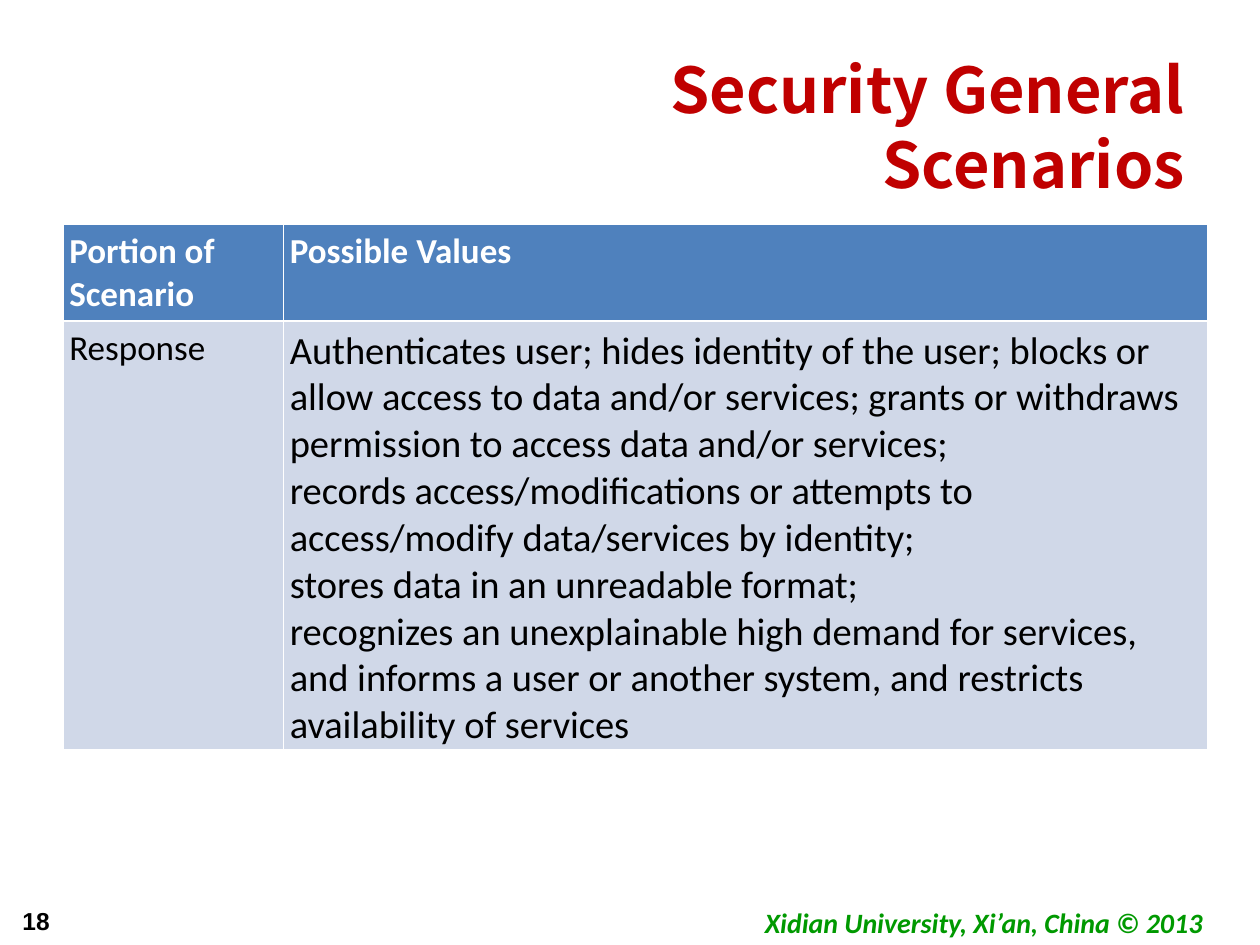
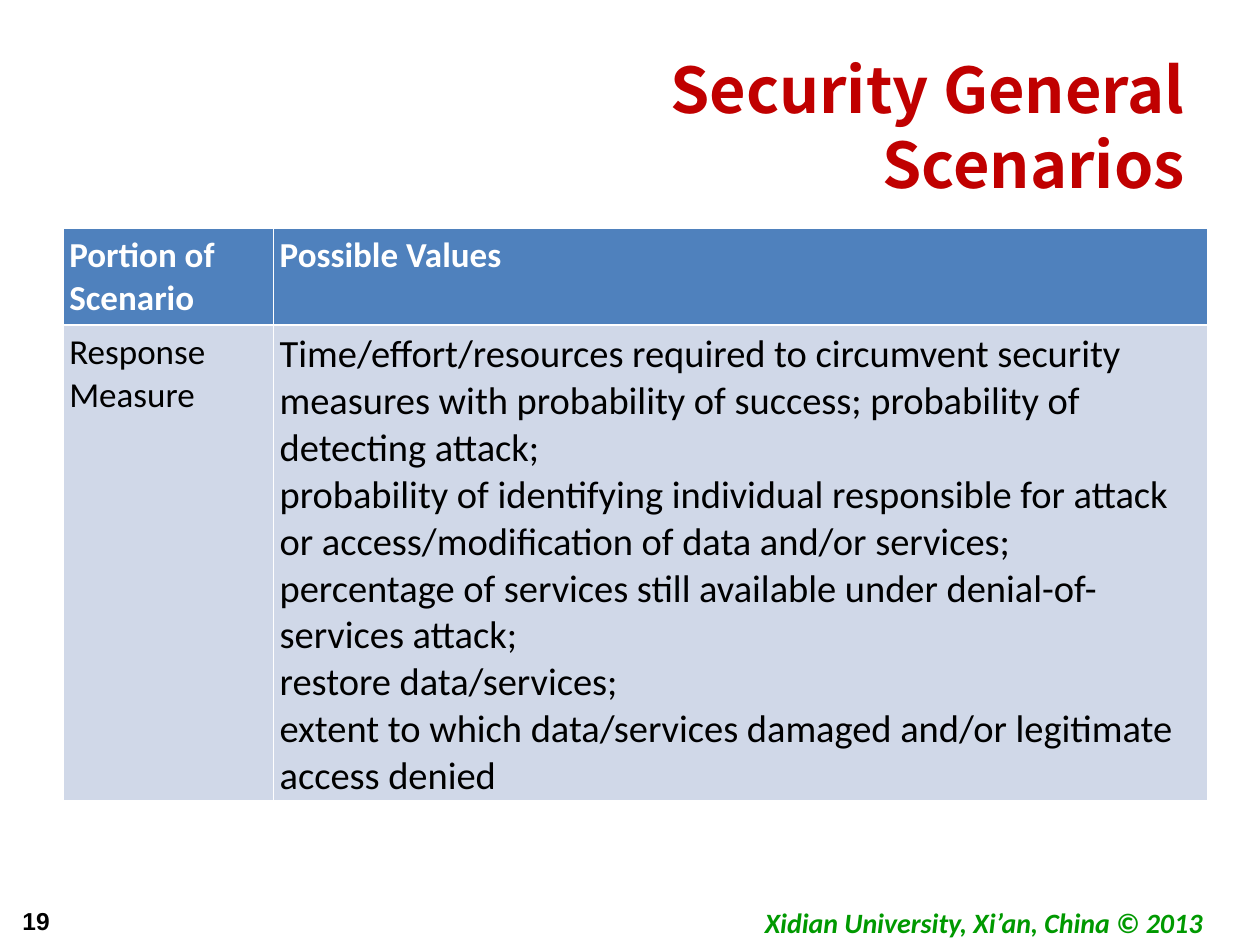
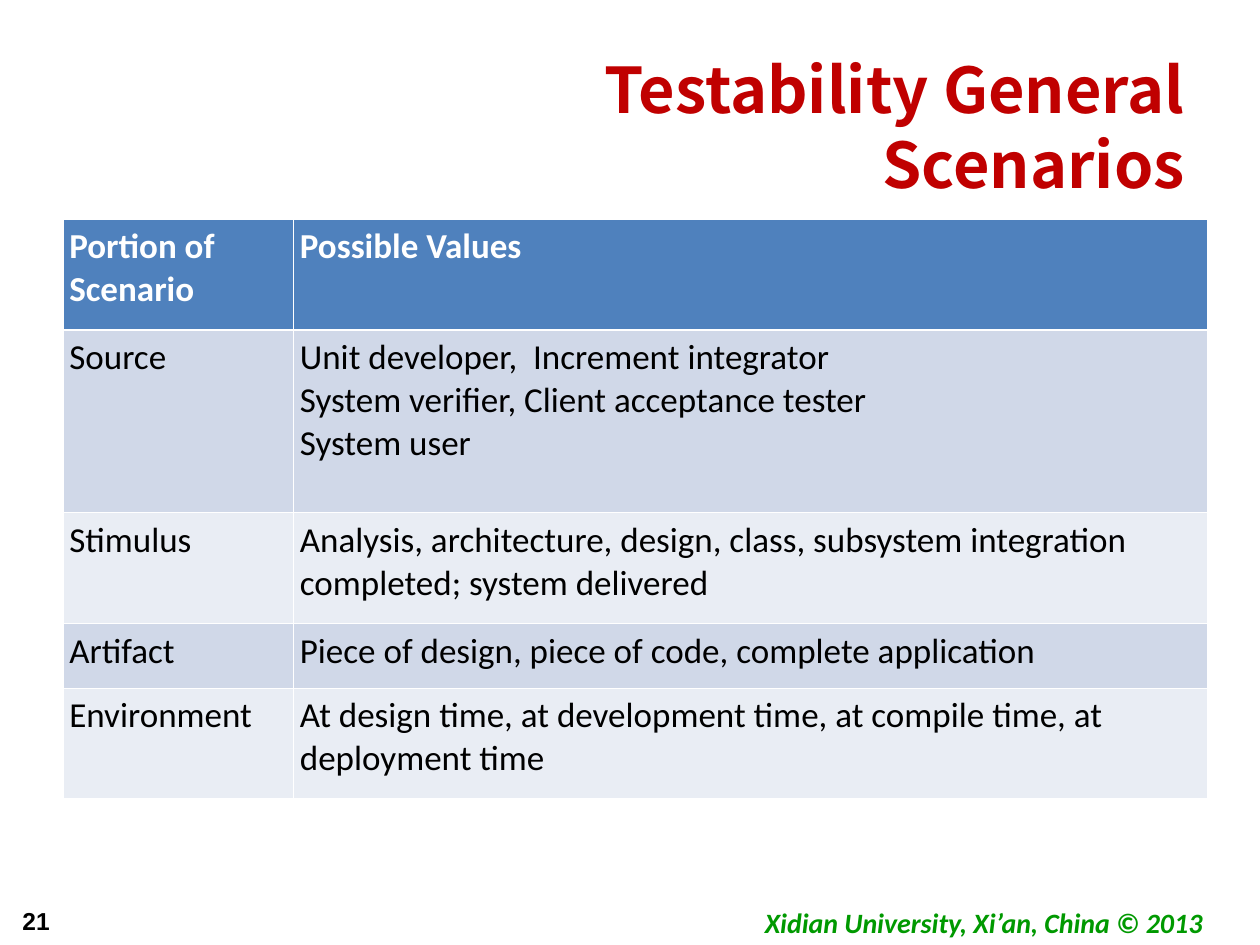
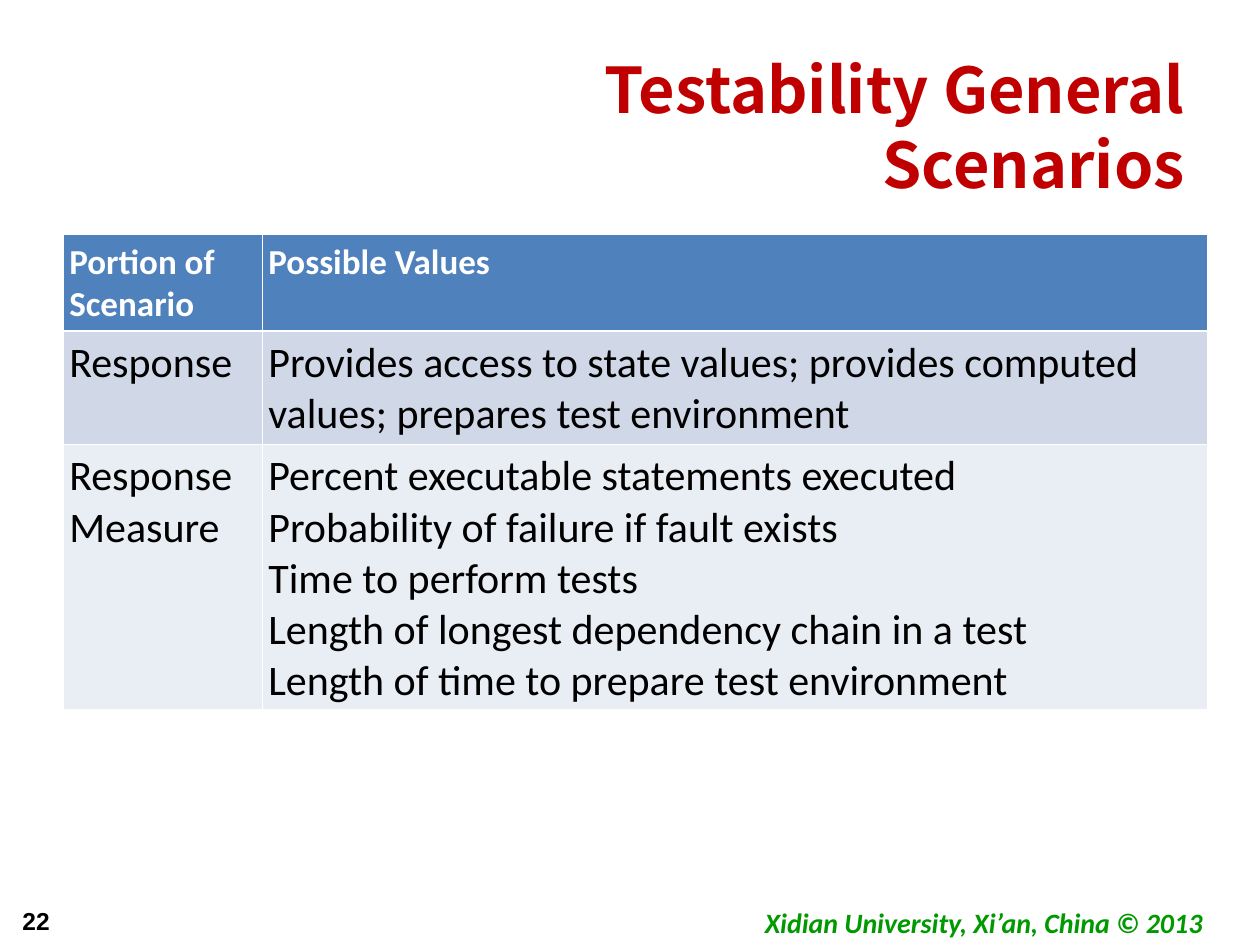
from lxml.etree import SubElement
from pptx import Presentation
from pptx.dml.color import RGBColor
from pptx.enum.text import MSO_ANCHOR, MSO_AUTO_SIZE, PP_ALIGN
from pptx.oxml.ns import qn
from pptx.util import Inches, Pt

# Content: one dict per slide, table rows as (portion, possible values)
HEADER = ("Portion of Scenario", ["Possible Values"])
FOOTER = "Xidian University, Xi’an, China © 2013"
SLIDES = [
    {
        "number": 18, "title": "Security General Scenarios",
        "top": 1.78, "first_column": 1.75, "row_heights": [0.77, 3.4],
        "label_size": 20, "value_size": 22,
        "rows": [
            ("Response", [
                "Authenticates user; hides identity of the user; blocks or allow access to data "
                "and/or services; grants or withdraws permission to access data and/or services;",
                "records access/modifications or attempts to access/modify data/services by identity;",
                "stores data in an unreadable format;",
                "recognizes an unexplainable high demand for services, and informs a user or "
                "another system, and restricts availability of services",
            ]),
        ],
    },
    {
        "number": 19, "title": "Security General Scenarios",
        "top": 1.81, "first_column": 1.67, "row_heights": [0.77, 3.77],
        "label_size": 20, "value_size": 22,
        "rows": [
            ("Response Measure", [
                "Time/effort/resources required to circumvent security measures with probability "
                "of success; probability of detecting attack;",
                "probability of identifying individual responsible for attack or "
                "access/modification of data and/or services;",
                "percentage of services still available under denial-of-services attack;",
                "restore data/services;",
                "extent to which data/services damaged and/or legitimate access denied",
            ]),
        ],
    },
    {
        "number": 21, "title": "Testability General Scenarios",
        "top": 1.74, "first_column": 1.83, "row_heights": [0.88, 1.45, 0.88, 0.51, 0.88],
        "label_size": 20, "value_size": 20,
        "rows": [
            ("Source", [
                "Unit developer,  Increment integrator",
                "System verifier, Client acceptance tester",
                "System user",
            ]),
            ("Stimulus", ["Analysis, architecture, design, class, subsystem integration "
                          "completed; system delivered"]),
            ("Artifact", ["Piece of design, piece of code, complete application"]),
            ("Environment", ["At design time, at development time, at compile time, "
                             "at deployment time"]),
        ],
    },
    {
        "number": 22, "title": "Testability General Scenarios",
        "top": 1.86, "first_column": 1.58, "row_heights": [0.77, 0.9, 2.1],
        "label_size": 24, "value_size": 24,
        "rows": [
            ("Response", ["Provides access to state values; provides computed values; "
                          "prepares test environment"]),
            ("Response Measure", [
                "Percent executable statements executed",
                "Probability of failure if fault exists",
                "Time to perform tests",
                "Length of longest dependency chain in a test",
                "Length of time to prepare test environment",
            ]),
        ],
    },
]

# Shared look
TITLE_STYLE = {"name": "Noto Sans CJK SC", "size": Pt(36), "bold": True, "color": "C00000"}
FOOTER_STYLE = {"name": "Calibri", "size": Pt(16), "bold": True, "italic": True, "color": "009900"}
NUMBER_STYLE = {"name": "Arial", "size": Pt(14), "bold": True, "color": "000000"}
HEADER_STYLE = {"name": "Calibri", "size": Pt(20), "bold": True, "color": "FFFFFF"}
BODY_STYLE = {"name": "Calibri", "bold": False, "color": "000000"}
HEADER_FILL, BAND_FILLS, BORDER = "4F81BD", ("D0D8E8", "E9EDF4"), "FFFFFF"
THIN, THICK = Pt(0.45), Pt(1.47)
TITLE_BOX = (3.82, 0.3, 5.68, 1.25)
FOOTER_BOX = (5.78, 7.11, 4.06, 0.39)
NUMBER_BOX = (0.08, 7.14, 0.59, 0.34)
TABLE_LEFT, TABLE_WIDTH, CELL_MARGIN = 0.5, 9.08, 0.05


def rgb(color):
    return RGBColor.from_string(color)


def write(frame, paragraphs, style, align=PP_ALIGN.LEFT, spacing=None):
    for index, text in enumerate(paragraphs):
        paragraph = frame.paragraphs[0] if index == 0 else frame.add_paragraph()
        paragraph.alignment = align
        paragraph.line_spacing = spacing
        run = paragraph.add_run()
        run.text = text
        for name, value in style.items():
            if name == "color":
                run.font.color.rgb = rgb(value)
            else:
                setattr(run.font, name, value)


def add_title(slide, text):
    title = slide.shapes.title
    title.left, title.top, title.width, title.height = map(Inches, TITLE_BOX)
    frame = title.text_frame
    frame.auto_size = MSO_AUTO_SIZE.NONE
    frame.vertical_anchor = MSO_ANCHOR.TOP
    frame.margin_top = Inches(0.1)
    write(frame, [text], TITLE_STYLE, PP_ALIGN.RIGHT, Pt(43))


def add_footer(slide, number):
    frame = slide.shapes.add_textbox(*map(Inches, FOOTER_BOX)).text_frame
    frame.word_wrap = False
    frame.vertical_anchor = MSO_ANCHOR.MIDDLE
    write(frame, [FOOTER], FOOTER_STYLE, PP_ALIGN.CENTER, 1.1)
    frame = slide.shapes.add_textbox(*map(Inches, NUMBER_BOX)).text_frame
    frame.word_wrap = True
    frame.auto_size = MSO_AUTO_SIZE.SHAPE_TO_FIT_TEXT
    write(frame, [str(number)], NUMBER_STYLE)


def set_borders(cell, top, bottom):
    properties = cell._tc.get_or_add_tcPr()
    widths = {"a:lnL": THIN, "a:lnR": THIN, "a:lnT": top, "a:lnB": bottom}
    for index, (tag, width) in enumerate(widths.items()):
        line = SubElement(properties, qn(tag), w=str(int(width)))
        SubElement(SubElement(line, qn("a:solidFill")), qn("a:srgbClr"), val=BORDER)
        properties.insert(index, line)  # borders come before the fill


def add_scenarios(slide, content):
    rows, heights = [HEADER] + content["rows"], content["row_heights"]
    table = slide.shapes.add_table(
        len(rows), 2, Inches(TABLE_LEFT), Inches(content["top"]),
        Inches(TABLE_WIDTH), Inches(sum(heights))).table
    table.horz_banding = False
    first = content["first_column"]
    for column, width in zip(table.columns, (first, TABLE_WIDTH - first)):
        column.width = Inches(width)

    sizes = (content["label_size"], content["value_size"])
    for index, (label, values) in enumerate(rows):
        table.rows[index].height = Inches(heights[index])
        fill = BAND_FILLS[(index - 1) % 2] if index else HEADER_FILL
        for cell, texts, size in zip(table.rows[index].cells, ([label], values), sizes):
            for side in ("left", "right", "top", "bottom"):
                setattr(cell, f"margin_{side}", Inches(CELL_MARGIN))
            cell.fill.solid()
            cell.fill.fore_color.rgb = rgb(fill)
            set_borders(cell, THICK if index == 1 else THIN, THIN if index else THICK)
            style = {**BODY_STYLE, "size": Pt(size)} if index else HEADER_STYLE
            write(cell.text_frame, texts, style)


def main():
    presentation = Presentation()
    presentation.slide_width, presentation.slide_height = Inches(10), Inches(7.5)
    title_only = presentation.slide_layouts[5]
    for content in SLIDES:
        slide = presentation.slides.add_slide(title_only)
        add_footer(slide, content["number"])
        add_title(slide, content["title"])
        add_scenarios(slide, content)
    presentation.save("out.pptx")


if __name__ == "__main__":
    main()
